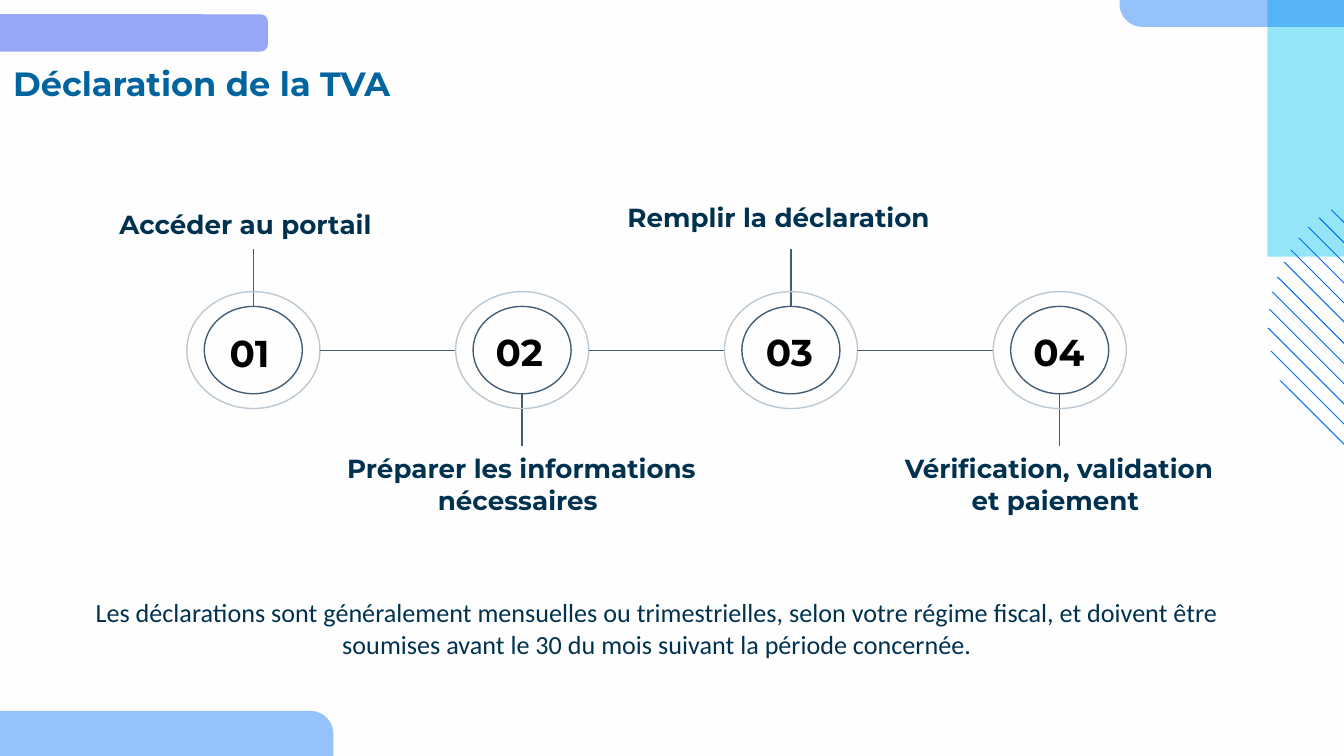
import pptx
import pptx.util
import pptx.dml.color
import pptx.enum.shapes
import pptx.enum.text
import pptx.oxml.ns
import lxml.etree

Inches = pptx.util.Inches
Pt = pptx.util.Pt
RGBColor = pptx.dml.color.RGBColor
SHAPE = pptx.enum.shapes.MSO_SHAPE
ALIGN = pptx.enum.text.PP_ALIGN
ANCHOR = pptx.enum.text.MSO_ANCHOR

BACKGROUND = RGBColor(0xFE, 0xFE, 0xFE)
BLUE = RGBColor(0x00, 0x6D, 0xF5)
LAVENDER = RGBColor(0x97, 0xA7, 0xF5)
CYAN = RGBColor(0x63, 0xDB, 0xF5)
TITLE_BLUE = RGBColor(0x00, 0x64, 0x9F)
NAVY = RGBColor(0x00, 0x32, 0x50)
SLATE = RGBColor(0x43, 0x5D, 0x74)
PALE_SLATE = RGBColor(0xBA, 0xC8, 0xD3)
BLACK = RGBColor(0, 0, 0)

HEADING_FONT = "Montserrat"
BODY_FONT = "Calibri"

# Label, the label's box, and the numeral's box
STEPS = [
    ("Accéder au portail",
     (0.79, 1.5, 2.17, 0.34), (1.61, 2.41, 0.52, 0.44)),
    ("Préparer les informations nécessaires ",
     (2.42, 3.32, 2.92, 0.81), (3.59, 2.4, 0.59, 0.44)),
    ("Remplir la déclaration",
     (4.57, 1.45, 2.63, 0.34), (5.6, 2.4, 0.63, 0.44)),
    ("Vérification, validation et paiement ",
     (6.54, 3.32, 2.68, 0.81), (7.59, 2.4, 0.62, 0.44)),
]

# Left, top and extent of each diagonal stroke
HATCHING = [
    (9.52, 2.83, 0.54), (9.45, 2.61, 0.82), (9.43, 2.44, 1.01),
    (9.44, 2.3, 1.15), (9.46, 2.17, 1.25), (9.5, 2.06, 1.33),
    (9.55, 1.95, 1.39), (9.6, 1.86, 1.43), (9.66, 1.77, 1.45),
    (9.73, 1.69, 1.46), (9.81, 1.62, 1.45), (9.9, 1.56, 1.43),
]


def add_block(slide, kind, box, fill, opacity=100):
    block = slide.shapes.add_shape(kind, *map(Inches, box))
    block.shadow.inherit = False
    block.fill.solid()
    block.fill.fore_color.rgb = fill
    block.line.fill.background()
    if opacity < 100:
        color = block._element.spPr.find(".//" + pptx.oxml.ns.qn("a:srgbClr"))
        alpha = lxml.etree.SubElement(color, pptx.oxml.ns.qn("a:alpha"))
        alpha.set("val", str(opacity * 1000))
    return block


def add_ring(slide, box, color):
    ring = slide.shapes.add_shape(SHAPE.OVAL, *map(Inches, box))
    ring.shadow.inherit = False
    ring.fill.background()
    ring.line.color.rgb = color
    ring.line.width = Pt(0.75)


def add_link(slide, start, end):
    link = slide.shapes.add_connector(
        pptx.enum.shapes.MSO_CONNECTOR.STRAIGHT, *map(Inches, start + end))
    link.line.color.rgb = SLATE
    link.line.width = Pt(0.75)
    properties = link._element.spPr
    lxml.etree.SubElement(properties, pptx.oxml.ns.qn("a:effectLst"))


def add_text(slide, box, wording, size, color, font=HEADING_FONT, bold=True,
             align=ALIGN.LEFT):
    text_box = slide.shapes.add_textbox(*map(Inches, box))
    frame = text_box.text_frame
    frame.word_wrap = True
    paragraph = frame.paragraphs[0]
    paragraph.text = wording
    paragraph.alignment = align
    paragraph.font.name = font
    paragraph.font.size = Pt(size)
    paragraph.font.bold = bold
    paragraph.font.color.rgb = color
    return frame


def add_hatching(slide, strokes):
    thickness = 0.01
    for left, top, extent in strokes:
        right, bottom = left + extent, top + extent
        builder = slide.shapes.build_freeform(
            Inches(left), Inches(top), scale=1.0)
        corners = [(left + thickness, top), (right, bottom - thickness),
                   (right, bottom)]
        builder.add_line_segments(
            [(Inches(x), Inches(y)) for x, y in corners], close=True)
        stroke = builder.convert_to_shape()
        stroke.shadow.inherit = False
        stroke.fill.solid()
        stroke.fill.fore_color.rgb = BLUE
        stroke.line.fill.background()


def add_decoration(slide):
    bottom_bar = add_block(
        slide, SHAPE.ROUND_1_RECTANGLE, (0, 5.29, 2.48, 0.34), BLUE, 41)
    bottom_bar.adjustments[0] = 0.5

    title_bar = add_block(
        slide, SHAPE.ROUNDED_RECTANGLE, (-0.29, 0.12, 2.27, 0.25), LAVENDER)
    title_bar.line.color.rgb = LAVENDER
    title_bar.line.width = Pt(2)

    side_panel = add_block(
        slide, SHAPE.RECTANGLE, (9.43, -0.14, 1.37, 2.05), CYAN, 69)
    top_bar = add_block(
        slide, SHAPE.ROUND_1_RECTANGLE, (8.33, -0.14, 2.48, 0.34), BLUE, 41)
    top_bar.adjustments[0] = 0.5
    side_panel.rotation = top_bar.rotation = 180
    add_hatching(slide, HATCHING)


def add_title(slide, box):
    frame = add_text(slide, box, "Déclaration de la TVA", 18, TITLE_BLUE)
    frame.vertical_anchor = ANCHOR.BOTTOM
    frame.margin_top = frame.margin_bottom = Inches(0.1)


def add_step(slide, left, top, number, label, label_box, numeral_box):
    """Draw a numbered double ring; odd steps are labelled above it."""
    width, height = 0.99, 0.87
    inset_x, inset_y = 0.13, 0.11
    center = left + width / 2
    above = number % 2 == 1
    if above:
        add_link(slide, (center, top + inset_y), (center, top - 0.32))
    else:
        add_link(slide, (center, top + height - inset_y),
                 (center, top + height + 0.28))
    add_ring(slide, (left, top, width, height), PALE_SLATE)
    add_ring(slide, (left + inset_x, top + inset_y,
                     width - 2 * inset_x, height - 2 * inset_y), SLATE)
    add_text(slide, numeral_box, f"{number:02d}", 20, BLACK)
    add_text(slide, label_box, label, 14, NAVY,
             align=ALIGN.LEFT if above else ALIGN.CENTER)


def add_timeline(slide, left, top):
    pitch, ring_width, axis = 2.0, 0.99, top + 0.44
    for index, (label, label_box, numeral_box) in enumerate(STEPS):
        ring_left = left + index * pitch
        if index:
            add_link(slide, (ring_left - pitch + ring_width, axis),
                     (ring_left, axis))
        add_step(slide, ring_left, top, index + 1, label, label_box,
                 numeral_box)


def main():
    deck = pptx.Presentation()
    deck.slide_width = Inches(10)
    deck.slide_height = deck.slide_width * 9 // 16
    slide = deck.slides.add_slide(deck.slide_layouts[6])
    slide.background.fill.solid()
    slide.background.fill.fore_color.rgb = BACKGROUND

    add_decoration(slide)
    add_title(slide, (0, 0.43, 3.54, 0.44))
    add_timeline(slide, 1.39, 2.17)
    add_text(slide, (0.49, 4.39, 8.8, 0.57),
             "Les déclarations sont généralement mensuelles ou trimestrielles, "
             "selon votre régime fiscal, et doivent être soumises avant le 30 "
             "du mois suivant la période concernée.",
             14, NAVY, BODY_FONT, bold=False, align=ALIGN.CENTER)
    deck.save("out.pptx")


if __name__ == "__main__":
    main()
